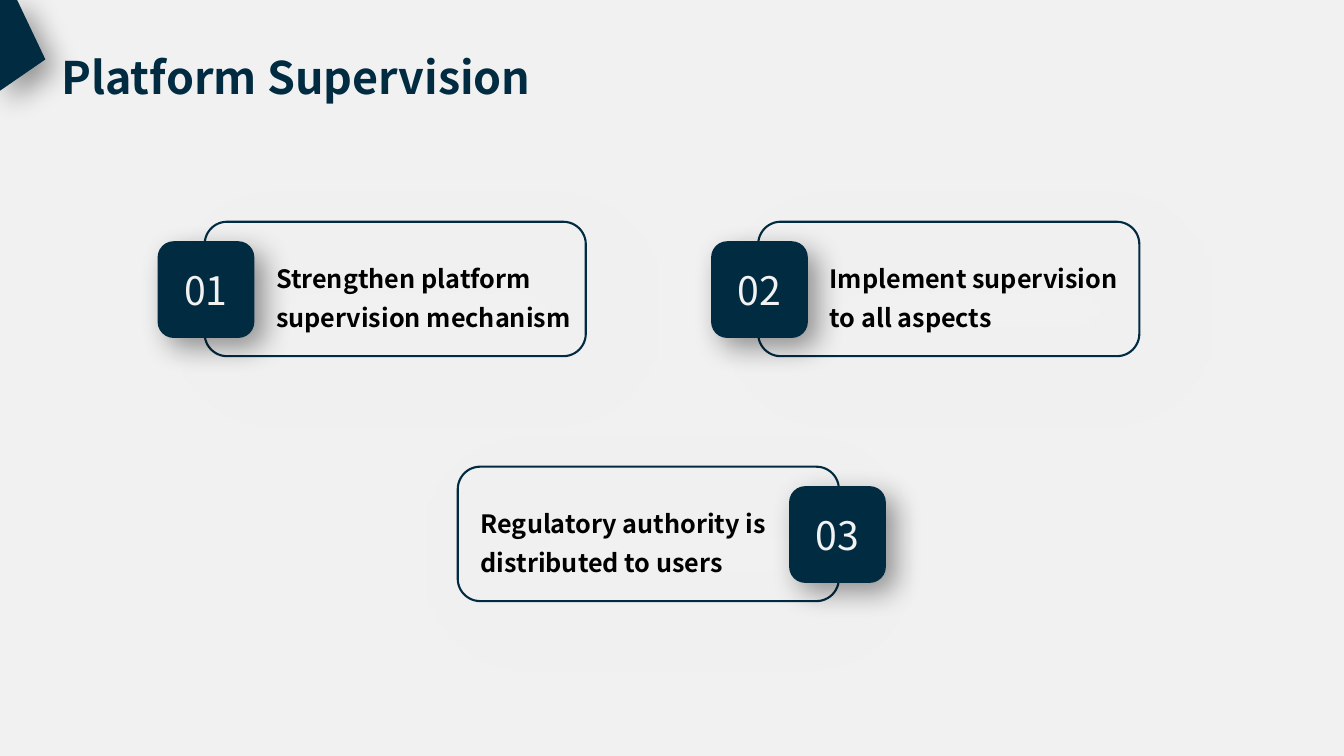
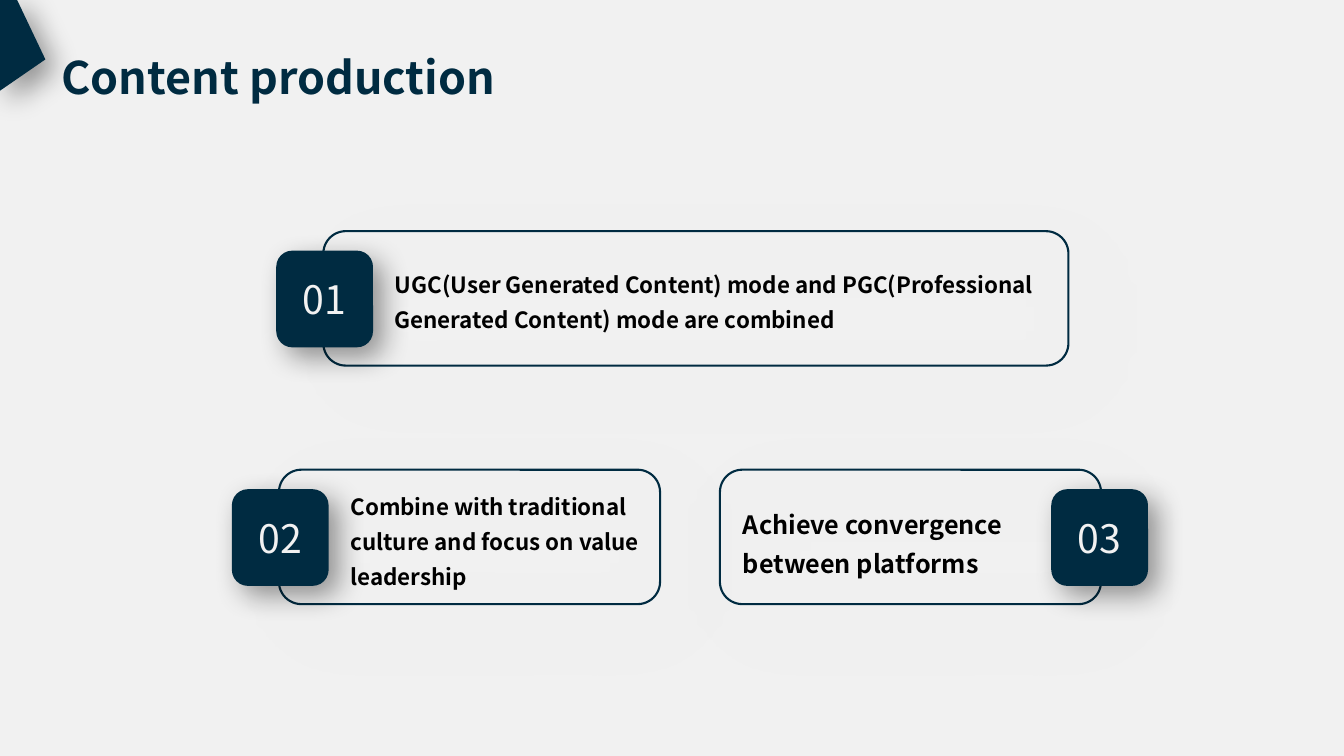
import pptx
import pptx.util
import pptx.dml.color
import pptx.enum.shapes
import pptx.enum.text
import pptx.oxml.ns
import lxml.etree

COLORS = {
    "navy": "002B41",
    "background": "F1F1F1",
    "number": "F2F2F2",
    "body": "000000",
    "dark_shadow": "000000",
    "soft_shadow": "808080",
}
FONT = "Noto Sans CJK SC"

# The grid: square cells, 40 columns by 22.5 rows
SLIDE_WIDTH = pptx.util.Inches(13.33)
SLIDE_HEIGHT = pptx.util.Inches(7.5)
CELL = SLIDE_HEIGHT / 22.5

# Card measures, in cells
CARD_WIDTH, CARD_HEIGHT = 11.34, 4
BADGE_SIZE = 2.88
BADGE_OVERHANG = 1.4
BADGE_TOP = 0.58
TEXT_HEIGHT = 2.55


def color(name):
    return pptx.dml.color.RGBColor.from_string(COLORS[name])


def cells(*lengths):
    return [round(length * CELL) for length in lengths]


def write_text(shape, text, size, color_name, bold=False, align="LEFT",
               anchor="TOP", spacing=1.0):
    frame = shape.text_frame
    frame.word_wrap = True
    frame.vertical_anchor = getattr(pptx.enum.text.MSO_ANCHOR, anchor)
    paragraph = frame.paragraphs[0]
    paragraph.alignment = getattr(pptx.enum.text.PP_ALIGN, align)
    paragraph.line_spacing = spacing
    run = paragraph.add_run()
    run.text = text
    run.font.name = FONT
    run.font.size = pptx.util.Pt(size)
    run.font.bold = bold
    run.font.color.rgb = color(color_name)


class Deck:
    def __init__(self):
        self.presentation = pptx.Presentation()
        self.presentation.slide_width = SLIDE_WIDTH
        self.presentation.slide_height = SLIDE_HEIGHT
        self.slide = None

    def add_slide(self, title):
        layout = self.presentation.slide_layouts[6]
        self.slide = self.presentation.slides.add_slide(layout)
        fill = self.slide.background.fill
        fill.solid()
        fill.fore_color.rgb = color("background")
        self.text_box(1.53, 1.32, 36, 1.92, title, size=32, color_name="navy")
        self.corner()

    def text_box(self, left, top, width, height, text, **text_format):
        box = self.slide.shapes.add_textbox(*cells(left, top, width, height))
        write_text(box, text, bold=True, **text_format)

    def corner(self):
        # Folded tip in the top left corner
        builder = self.slide.shapes.build_freeform(*cells(0.51, 0))
        builder.add_line_segments(
            [cells(*point) for point in ((0, 0), (0, 2.7), (1.35, 1.77))])
        self.paint_solid(builder.convert_to_shape())

    def rounded(self, left, top, width, height):
        return self.slide.shapes.add_shape(
            pptx.enum.shapes.MSO_SHAPE.ROUNDED_RECTANGLE,
            *cells(left, top, width, height))

    def shadow(self, shape, color_name, opacity, blur, distance):
        shape.shadow.inherit = False
        qn = pptx.oxml.ns.qn
        effects = shape._element.spPr.find(qn("a:effectLst"))
        outer = lxml.etree.SubElement(
            effects, qn("a:outerShdw"), blurRad=str(pptx.util.Pt(blur)),
            dist=str(pptx.util.Pt(distance)), dir=str(45 * 60000),
            algn="tl", rotWithShape="0")
        tone = lxml.etree.SubElement(outer, qn("a:srgbClr"), val=COLORS[color_name])
        lxml.etree.SubElement(tone, qn("a:alpha"), val=str(opacity * 1000))

    def paint_solid(self, shape):
        shape.fill.solid()
        shape.fill.fore_color.rgb = color("navy")
        shape.line.fill.background()
        self.shadow(shape, "dark_shadow", opacity=40, blur=20, distance=10)

    def card(self, number, text, left, top, width=CARD_WIDTH,
             badge_right=False, size=18, text_top=0.81):
        # Outlined frame
        frame = self.rounded(left, top, width, CARD_HEIGHT)
        frame.fill.background()
        frame.line.color.rgb = color("navy")
        frame.line.width = pptx.util.Pt(1.5)
        self.shadow(frame, "soft_shadow", opacity=20, blur=50, distance=20)

        # Number badge hanging over one side
        if badge_right:
            badge_left = left + width + BADGE_OVERHANG - BADGE_SIZE
            text_left, text_width = left + 0.39, width - 2.16
        else:
            badge_left = left - BADGE_OVERHANG
            text_left, text_width = left + 1.83, width - 1.47
        badge = self.rounded(badge_left, top + BADGE_TOP, BADGE_SIZE, BADGE_SIZE)
        self.paint_solid(badge)
        write_text(badge, number, 28, "number", align="CENTER", anchor="MIDDLE")

        # Statement
        self.text_box(text_left, top + text_top, text_width, TEXT_HEIGHT, text,
                      size=size, color_name="body", spacing=1.3)


def main():
    deck = Deck()

    deck.add_slide("Platform Supervision")
    deck.card("01", "Strengthen platform supervision mechanism", 6.09, 6.6)
    deck.card("02", "Implement supervision to all aspects", 22.56, 6.6)
    deck.card("03", "Regulatory authority is distributed to users", 13.62, 13.89,
              badge_right=True)

    deck.add_slide("Content production")
    deck.card("01", "UGC(User Generated Content) mode and PGC(Professional "
              "Generated Content) mode are combined", 9.62, 6.88, width=22.17, size=16)
    deck.card("02", "Combine with traditional culture and focus on value leadership",
              8.3, 13.98, size=16, text_top=0.3)
    deck.card("03", "Achieve convergence between platforms", 21.42, 13.98,
              badge_right=True, text_top=0.75)

    deck.presentation.save("out.pptx")


if __name__ == "__main__":
    main()
